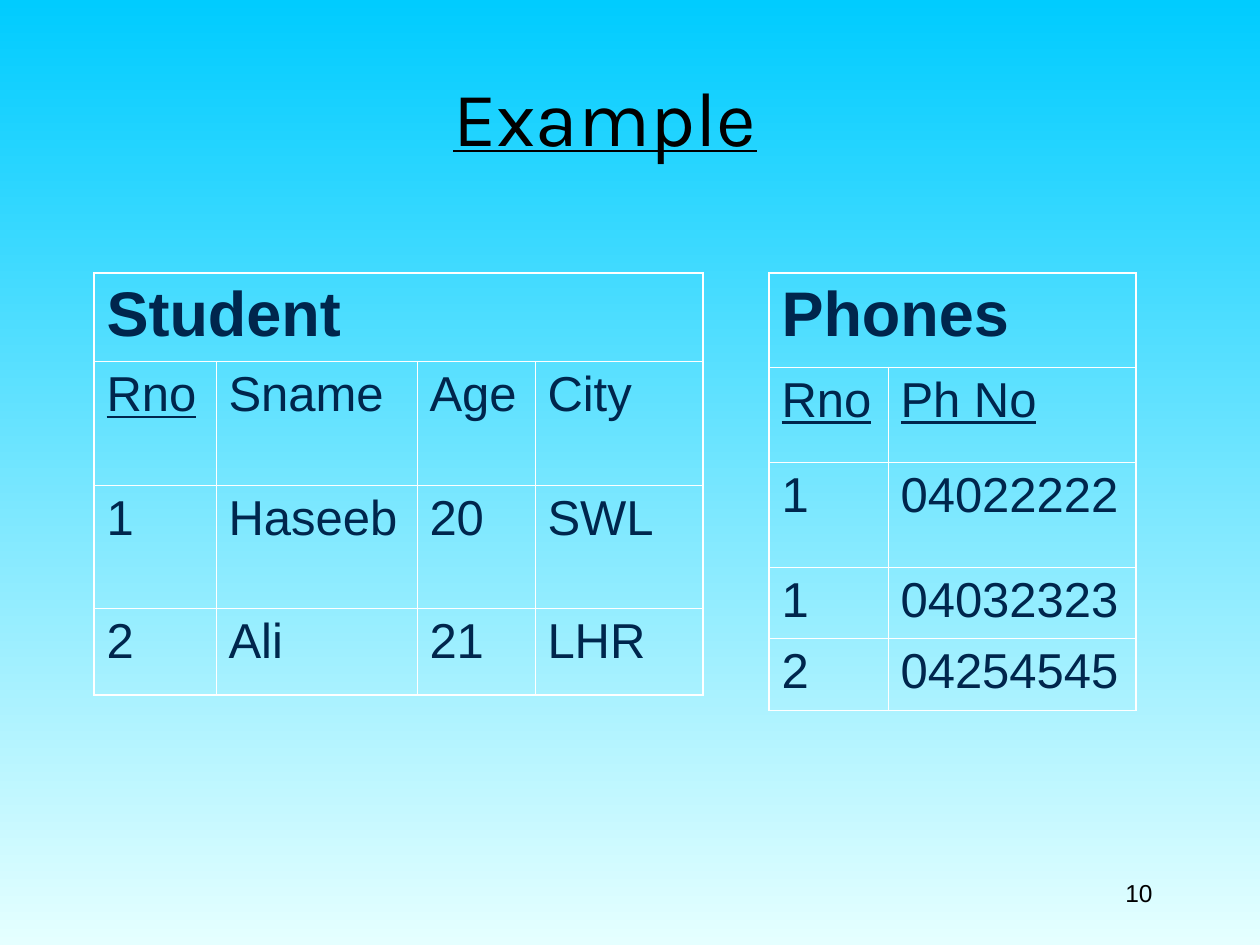
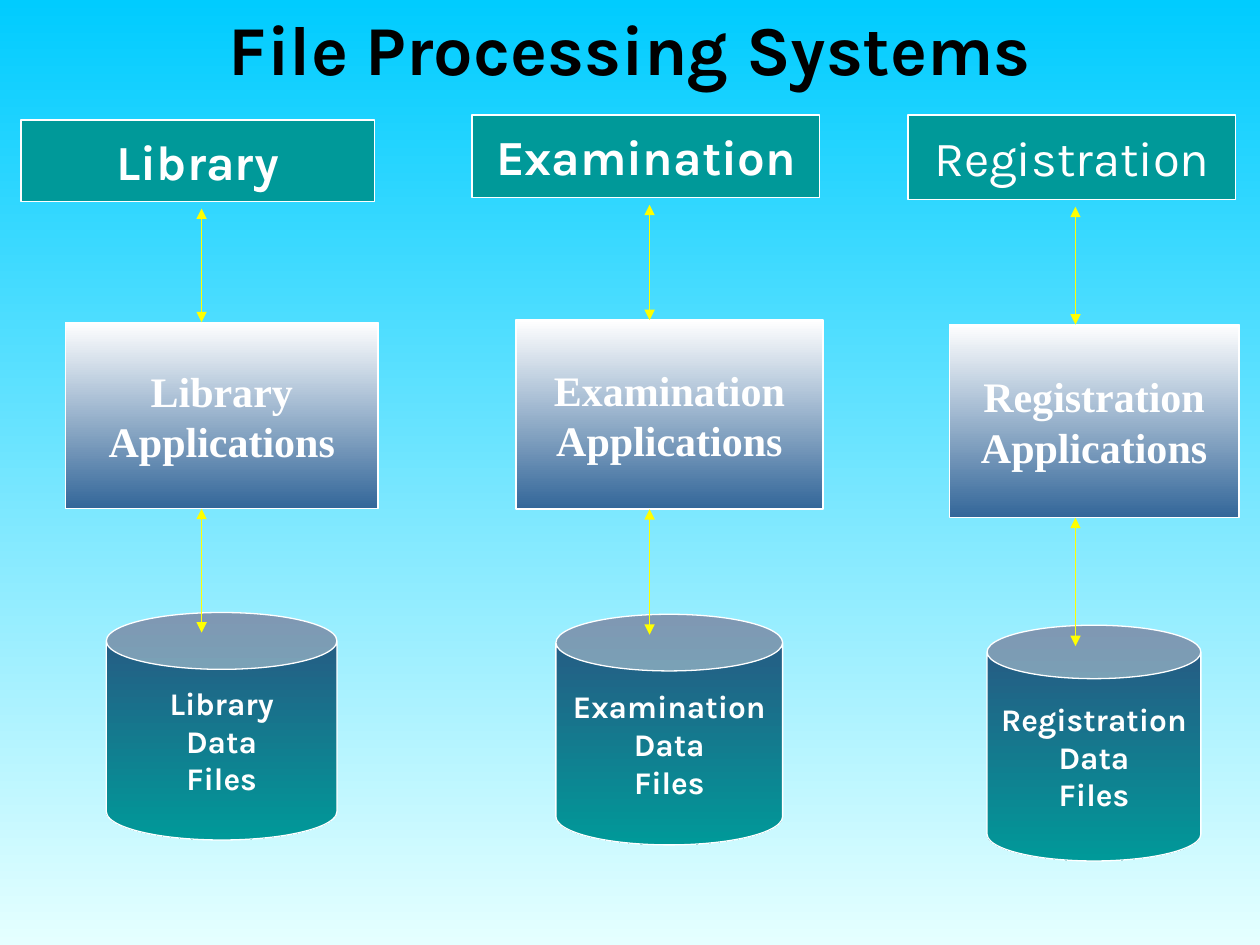
from lxml.etree import SubElement
from pptx import Presentation
from pptx.dml.color import RGBColor
from pptx.enum.shapes import MSO_CONNECTOR, MSO_SHAPE
from pptx.enum.text import MSO_ANCHOR, PP_ALIGN
from pptx.oxml.ns import qn
from pptx.util import Emu, Pt

SKY = RGBColor(0x00, 0xCC, 0xFF)
PALE_CYAN = RGBColor(0xE5, 0xFF, 0xFF)
WHITE = RGBColor(0xFF, 0xFF, 0xFF)
BLACK = RGBColor(0x00, 0x00, 0x00)
NAVY = RGBColor(0x00, 0x26, 0x4D)
TEAL = RGBColor(0x00, 0x99, 0x99)
STEEL = RGBColor(0x33, 0x66, 0x99)
DEEP_BLUE = RGBColor(0x2B, 0x54, 0x81)
YELLOW = RGBColor(0xFF, 0xFF, 0x00)

HEADING_FONT, BODY_FONT, SERIF_FONT = "Karla", "Arial", "Times New Roman"
OUTER_BORDER, INNER_BORDER = Pt(1.08), Pt(0.45)
GRID = 1000  # a system column is laid out on a GRID x GRID field


def px(length):
    return Emu(round(length * 914400 / 126))


def fill_gradient(fill, top, bottom):
    fill.gradient()
    fill.gradient_angle = 270
    for stop, color in zip(fill.gradient_stops, (top, bottom)):
        stop.color.rgb = color


def write(frame, lines, size, color, font=HEADING_FONT, bold=False,
          underline=False, align=PP_ALIGN.LEFT, anchor=MSO_ANCHOR.TOP, wrap=True):
    frame.word_wrap = wrap
    frame.vertical_anchor = anchor
    frame.text = lines
    for paragraph in frame.paragraphs:
        paragraph.alignment = align
        paragraph.font.name = font
        paragraph.font.size = Pt(size)
        paragraph.font.bold = bold
        paragraph.font.underline = underline
        paragraph.font.color.rgb = color


def add_label(slide, box, text, size, color, **style):
    label = slide.shapes.add_textbox(*map(px, box))
    write(label.text_frame, text, size, color, **style)


def set_borders(cell, outer_sides):
    """Draw white cell borders, heavier on the named outer sides (of "LRTB")."""
    properties = cell._tc.get_or_add_tcPr()
    for side in "LRTB":
        width = OUTER_BORDER if side in outer_sides else INNER_BORDER
        border = SubElement(properties, qn(f"a:ln{side}"), w=str(width))
        solid = SubElement(border, qn("a:solidFill"))
        SubElement(solid, qn("a:srgbClr"), val=str(WHITE))


def add_relation(slide, left, top, widths, heights, name, rows, keys):
    """Add a table: its name across the top, then rows; key headings are underlined."""
    table = slide.shapes.add_table(
        len(heights), len(widths), px(left), px(top),
        px(sum(widths)), px(sum(heights))).table
    table.first_row = table.horz_banding = False
    for column, width in zip(table.columns, widths):
        column.width = px(width)
    for row, height in zip(table.rows, heights):
        row.height = px(height)

    last_row, last_column = len(heights) - 1, len(widths) - 1
    table.cell(0, 0).merge(table.cell(0, last_column))
    for r, values in enumerate([[name], *rows]):
        is_name = r == 0
        for c, value in enumerate(values):
            cell = table.cell(r, c)
            edges = {"L": c == 0, "R": is_name or c == last_column,
                     "T": is_name, "B": r == last_row}
            set_borders(cell, [side for side, outer in edges.items() if outer])
            cell.fill.background()
            write(cell.text_frame, value, 36 if is_name else 28, NAVY,
                  font=BODY_FONT, bold=is_name, underline=r == 1 and value in keys)
            cell.text_frame.paragraphs[0].space_before = Pt(9 if is_name else 7)


def add_system_column(slide, box, system, header_bold=True):
    """Stack header, applications and data files of one system, joined by arrows."""
    left, top, width, height = box
    group = slide.shapes.add_group_shape()

    def across(u):
        return px(left + width * u / GRID)

    def down(v):
        return px(top + height * v / GRID)

    def add_block(preset, area, lines, size, font=HEADING_FONT, bold=True):
        u, v, u_end, v_end = area
        block = group.shapes.add_shape(
            preset, across(u), down(v),
            across(u_end) - across(u), down(v_end) - down(v))
        block.shadow.inherit = False
        block.line.color.rgb = WHITE
        block.line.width = Pt(0.75)
        write(block.text_frame, lines, size, WHITE, font=font, bold=bold,
              align=PP_ALIGN.CENTER, anchor=MSO_ANCHOR.MIDDLE, wrap=False)
        return block

    applications = add_block(MSO_SHAPE.RECTANGLE, (125, 281, 1000, 540),
                             f"{system}\nApplications", 24, font=SERIF_FONT)
    fill_gradient(applications.fill, WHITE, STEEL)

    data_files = add_block(MSO_SHAPE.CAN, (239, 684, 885, 1000),
                           f"{system}\nData\nFiles", 18)
    data_files.adjustments[0] = 0.25
    fill_gradient(data_files.fill, DEEP_BLUE, TEAL)

    header = add_block(MSO_SHAPE.RECTANGLE, (0, 0, 990, 113), system, 28,
                       bold=header_bold)
    header.fill.solid()
    header.fill.fore_color.rgb = TEAL

    for start, end in ((123, 281), (540, 712)):
        add_double_arrow(group, across(506), down(start), down(end))


def add_double_arrow(group, x, start, end):
    arrow = group.shapes.add_connector(MSO_CONNECTOR.STRAIGHT, x, start, x, end)
    arrow.line.color.rgb = YELLOW
    arrow.line.width = Pt(0.75)
    line = arrow.line._get_or_add_ln()
    for tip in ("headEnd", "tailEnd"):
        SubElement(line, qn(f"a:{tip}"), type="triangle")
    SubElement(arrow._element.spPr, qn("a:effectLst"))


def add_example_slide(prs):
    slide = prs.slides.add_slide(prs.slide_layouts[6])
    add_label(slide, (903, 851, 262, 63), "10", 14, BLACK, font=BODY_FONT,
              align=PP_ALIGN.RIGHT, anchor=MSO_ANCHOR.BOTTOM)
    add_relation(slide, 94, 273, (122, 201, 118, 168), (88, 124, 123, 87), "Student",
                 [("Rno", "Sname", "Age", "City"),
                  ("1", "Haseeb", "20", "SWL"),
                  ("2", "Ali", "21", "LHR")], keys=("Rno",))
    add_relation(slide, 769, 273, (119, 248), (94, 95, 105, 71, 72), "Phones",
                 [("Rno", "Ph No"), ("1", "04022222"),
                  ("1", "04032323"), ("2", "04254545")], keys=("Rno", "Ph No"))
    add_label(slide, (441, 63, 494, 106), "Example", 44, BLACK, underline=True)


def add_file_systems_slide(prs):
    slide = prs.slides.add_slide(prs.slide_layouts[6])
    add_label(slide, (63, 0, 1134, 95), "File Processing Systems", 40, BLACK,
              bold=True, align=PP_ALIGN.CENTER, anchor=MSO_ANCHOR.MIDDLE)
    add_system_column(slide, (908, 115, 331, 746), "Registration", header_bold=False)
    add_system_column(slide, (472, 115, 351, 730), "Examination")
    add_system_column(slide, (21, 120, 357, 720), "Library")


def main():
    prs = Presentation()
    prs.slide_width, prs.slide_height = px(1260), px(945)
    fill_gradient(prs.slide_master.background.fill, SKY, PALE_CYAN)
    add_example_slide(prs)
    add_file_systems_slide(prs)
    prs.save("out.pptx")


if __name__ == "__main__":
    main()
